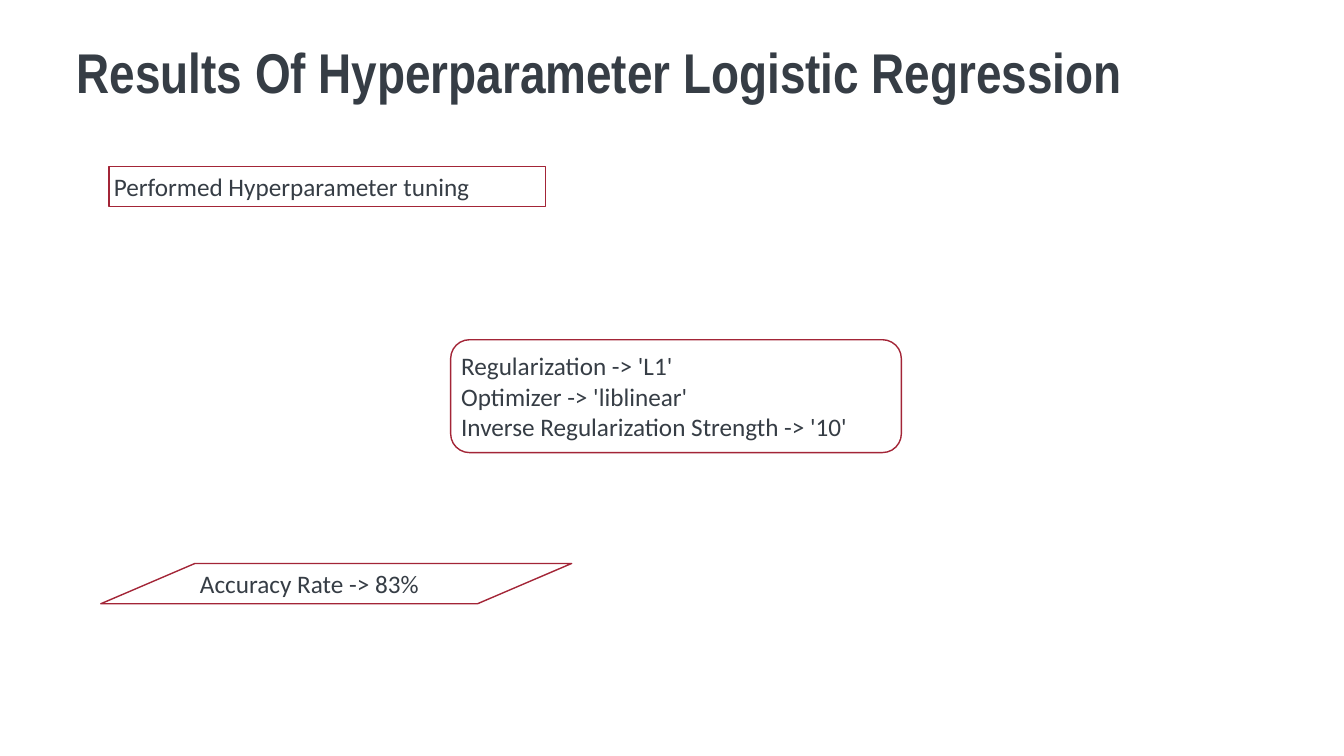
from pptx import Presentation
from pptx.dml.color import RGBColor
from pptx.enum.shapes import MSO_SHAPE
from pptx.enum.text import MSO_ANCHOR, PP_ALIGN
from pptx.util import Inches, Pt

TITLE = "Results Of Hyperparameter Logistic Regression"
STEPS = [
    (MSO_SHAPE.RECTANGLE, (1.08, 1.65, 4.33, 0.4),
     ["Performed Hyperparameter tuning"]),
    (MSO_SHAPE.ROUNDED_RECTANGLE, (4.47, 3.37, 4.47, 1.12),
     ["Regularization -> 'L1'",
      "Optimizer -> 'liblinear'",
      "Inverse Regularization Strength -> '10'"]),
    (MSO_SHAPE.FLOWCHART_DATA, (1, 5.59, 4.67, 0.4),
     ["Accuracy Rate -> 83%"]),
]
INK, EDGE, PAPER = "363D45", "A32537", "FFFFFF"


def color(code):
    return RGBColor.from_string(code)


def write(shape, lines, font="Calibri", size=18, bold=False,
          anchor=MSO_ANCHOR.MIDDLE, space=1.0):
    frame = shape.text_frame
    frame.word_wrap = True
    frame.vertical_anchor = anchor
    frame.margin_left = frame.margin_right = Inches(0.05)
    frame.margin_top = frame.margin_bottom = Inches(0.05)
    for i, line in enumerate(lines):
        para = frame.add_paragraph() if i else frame.paragraphs[0]
        para.alignment = PP_ALIGN.LEFT
        para.line_spacing = space
        run = para.add_run()
        run.text = line
        run.font.name = font
        run.font.size = Pt(size)
        run.font.bold = bold
        run.font.color.rgb = color(INK)


deck = Presentation()
deck.slide_width, deck.slide_height = Inches(13.33), Inches(7.5)
slide = deck.slides.add_slide(deck.slide_layouts[6])

head = slide.shapes.add_textbox(*map(Inches, (0.71, 0.4, 11.71, 0.92)))
write(head, [TITLE], font="Arial Narrow", size=40, bold=True,
      anchor=MSO_ANCHOR.TOP, space=0.9)

for kind, place, lines in STEPS:
    box = slide.shapes.add_shape(kind, *map(Inches, place))
    box.shadow.inherit = False
    box.fill.solid()
    box.fill.fore_color.rgb = color(PAPER)
    box.line.color.rgb = color(EDGE)
    box.line.width = Pt(1)
    write(box, lines)

deck.save("out.pptx")
